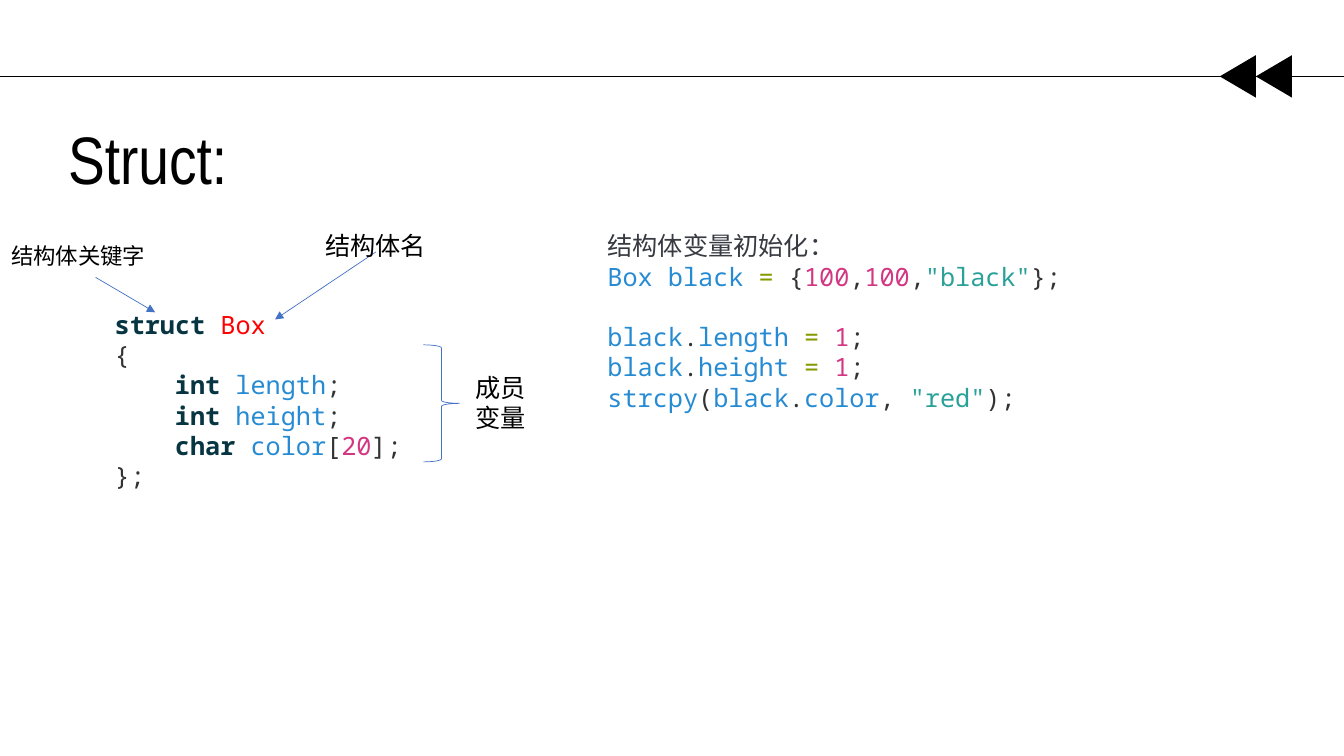
from dataclasses import dataclass, field
from lxml.etree import SubElement
from pptx import Presentation
from pptx.dml.color import RGBColor
from pptx.enum.shapes import MSO_CONNECTOR, MSO_SHAPE
from pptx.enum.text import PP_ALIGN
from pptx.oxml.ns import qn
from pptx.util import Cm, Pt

BLACK = RGBColor(0x00, 0x00, 0x00)
BLUE = RGBColor(0x44, 0x72, 0xC4)
KEY = RGBColor(0x07, 0x36, 0x42)
NAME = RGBColor(0x26, 0x8B, 0xD2)
SIGN = RGBColor(0x33, 0x33, 0x33)
NUM = RGBColor(0xD3, 0x36, 0x82)
EQUAL = RGBColor(0x85, 0x99, 0x00)
QUOTE = RGBColor(0x2A, 0xA1, 0x98)
HEAD = RGBColor(0x38, 0x3A, 0x42)
RED = RGBColor(0xFF, 0x00, 0x00)

HAN = "Noto Sans CJK SC"
MONO = "Noto Sans Mono"
TITLE = "Arial Narrow"
LEAD = 1.2


@dataclass
class Run:
    text: str
    color: RGBColor = BLACK


@dataclass
class Row:
    runs: list[Run]
    dent: float = 0
    gap: float = 0


@dataclass
class Block:
    left: float
    top: float
    width: float
    height: float
    rows: list[Row]
    font: str = HAN
    size: int = 18
    align: PP_ALIGN = PP_ALIGN.LEFT


@dataclass
class Line:
    start: tuple[float, float]
    end: tuple[float, float]
    color: RGBColor = BLUE
    arrow: bool = True


@dataclass
class Form:
    kind: MSO_SHAPE
    left: float
    top: float
    width: float
    height: float
    turn: int = 0
    fill: RGBColor | None = field(default=None)


def label(text: str) -> list[Row]:
    return [Row([Run(text)])]


def member(kind: str, name: str, *tail: Run) -> Row:
    return Row([Run(kind + " ", KEY), Run(name, NAME), *tail], dent=1.52)


def assign(part: str, gap: float = 0) -> Row:
    return Row([Run("black", NAME), Run(".", SIGN), Run(part + " ", NAME),
                Run("= ", EQUAL), Run("1", NUM), Run(";", SIGN)], gap=gap)


def write(block: Block) -> None:
    box = slide.shapes.add_textbox(Cm(block.left), Cm(block.top),
                                   Cm(block.width), Cm(block.height))
    frame = box.text_frame
    frame.word_wrap = True
    for at, row in enumerate(block.rows):
        para = frame.add_paragraph() if at else frame.paragraphs[0]
        para.alignment = block.align
        para.line_spacing = Pt(block.size * LEAD)
        para.space_before = Pt(row.gap)
        props = para._p.get_or_add_pPr()
        props.set("marL", str(Cm(row.dent)))
        props.set("indent", "0")
        for item in row.runs:
            run = para.add_run()
            run.text = item.text
            run.font.name = block.font
            run.font.size = Pt(block.size)
            run.font.bold = item.color == KEY
            run.font.color.rgb = item.color
            east = SubElement(run._r.get_or_add_rPr(), qn("a:ea"))
            east.set("typeface", HAN)


def link(line: Line) -> None:
    (left, top), (right, base) = line.start, line.end
    shape = slide.shapes.add_connector(MSO_CONNECTOR.STRAIGHT, Cm(left),
                                       Cm(top), Cm(right), Cm(base))
    shape.line.color.rgb = line.color
    shape.line.width = Pt(0.5)
    if line.arrow:
        tip = SubElement(shape.line._get_or_add_ln(), qn("a:tailEnd"))
        tip.set("type", "triangle")
    SubElement(shape._element.spPr, qn("a:effectLst"))


def draw(form: Form) -> None:
    shape = slide.shapes.add_shape(form.kind, Cm(form.left), Cm(form.top),
                                   Cm(form.width), Cm(form.height))
    shape.rotation = form.turn
    shape.shadow.inherit = False
    if form.fill is None:
        shape.fill.background()
        shape.line.color.rgb = BLUE
        shape.line.width = Pt(0.5)
    else:
        shape.fill.solid()
        shape.fill.fore_color.rgb = form.fill
        shape.line.fill.background()


STRUCT = [
    Row([Run("struct ", KEY), Run("Box", RED)]),
    Row([Run("{", SIGN)]),
    member("int", "length", Run(";", SIGN)),
    member("int", "height", Run(";", SIGN)),
    member("char", "color", Run("[", SIGN), Run("20", NUM), Run("];", SIGN)),
    Row([Run("};", SIGN)]),
]
SETUP = [
    Row([Run("结构体变量初始化：", HEAD)]),
    Row([Run("Box black ", NAME), Run("=", EQUAL), Run(" {", SIGN),
         Run("100", NUM), Run(",", SIGN), Run("100", NUM), Run(",", SIGN),
         Run('"black"', QUOTE), Run("};", SIGN)]),
    assign("length", gap=18 * LEAD),
    assign("height"),
    Row([Run("strcpy", NAME), Run("(", SIGN), Run("black", NAME),
         Run(".", SIGN), Run("color", NAME), Run(", ", SIGN),
         Run('"red"', QUOTE), Run(");", SIGN)]),
]
LINES = [
    Line((0, 1.93), (33.87, 1.93), BLACK, False),
    Line((2.41, 6.99), (3.91, 7.87)),
    Line((9.47, 6.35), (6.93, 8.05)),
]
FORMS = [Form(MSO_SHAPE.ISOSCELES_TRIANGLE, left, 1.47, 1.07, 0.91, 270, BLACK)
         for left in (31.57, 30.66)]
FORMS.append(Form(MSO_SHAPE.RIGHT_BRACE, 10.67, 8.69, 0.91, 2.95))
BLOCKS = [
    Block(1.47, 2.84, 13.28, 2.31, label("Struct:"), TITLE, 48),
    Block(2.64, 7.67, 7.85, 8.71, STRUCT, MONO),
    Block(0.03, 5.97, 4.9, 0.94, label("结构体关键字"), size=16),
    Block(7.82, 5.69, 3.3, 1.02, label("结构体名"), align=PP_ALIGN.CENTER),
    Block(11.73, 9.25, 2.06, 1.8, label("成员变量")),
    Block(15.06, 5.69, 18.75, 5.64, SETUP, MONO),
]

deck = Presentation()
deck.slide_width, deck.slide_height = Cm(33.87), Cm(19.05)
slide = deck.slides.add_slide(deck.slide_layouts[6])
for line in LINES:
    link(line)
for form in FORMS:
    draw(form)
for block in BLOCKS:
    write(block)
deck.save("out.pptx")
